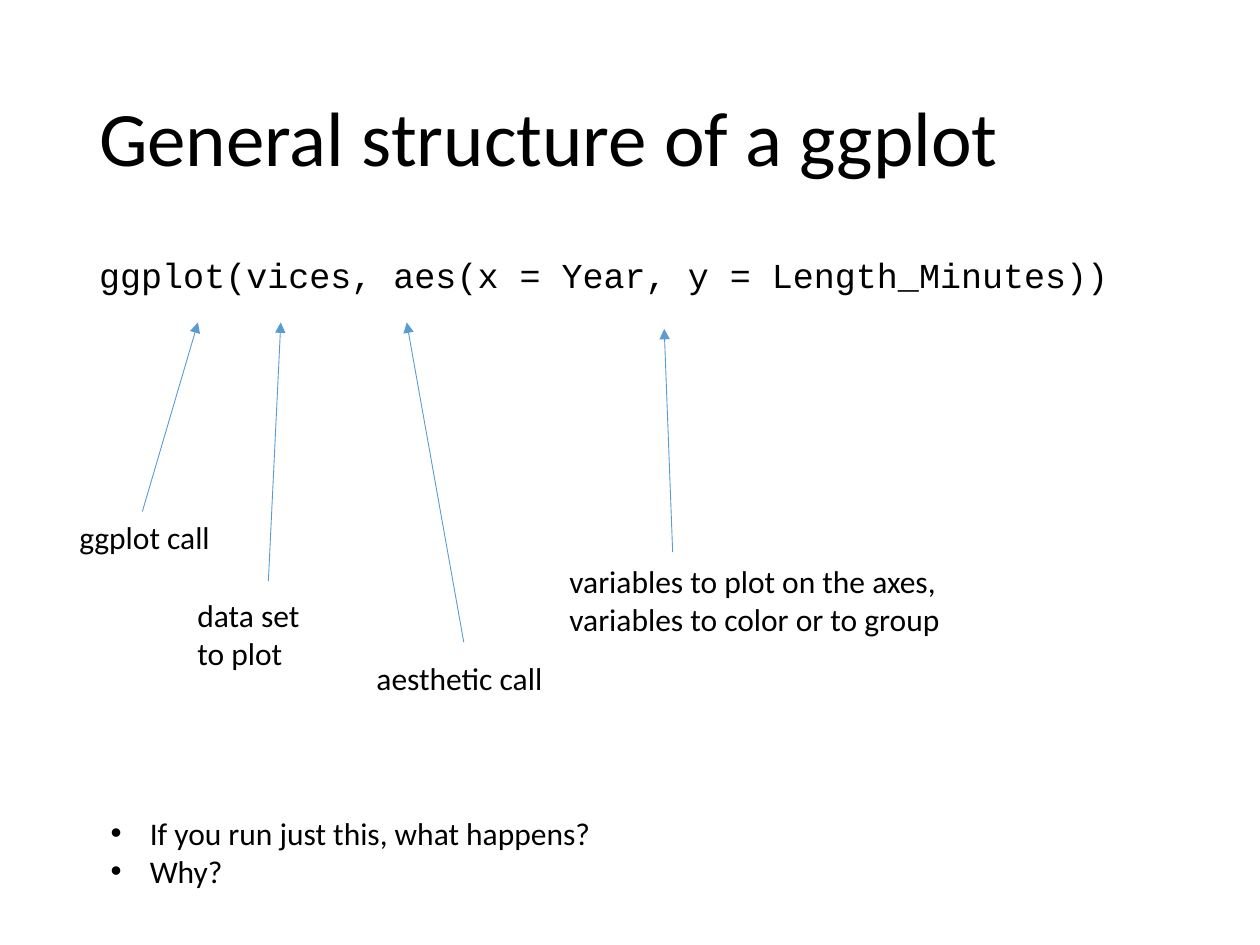
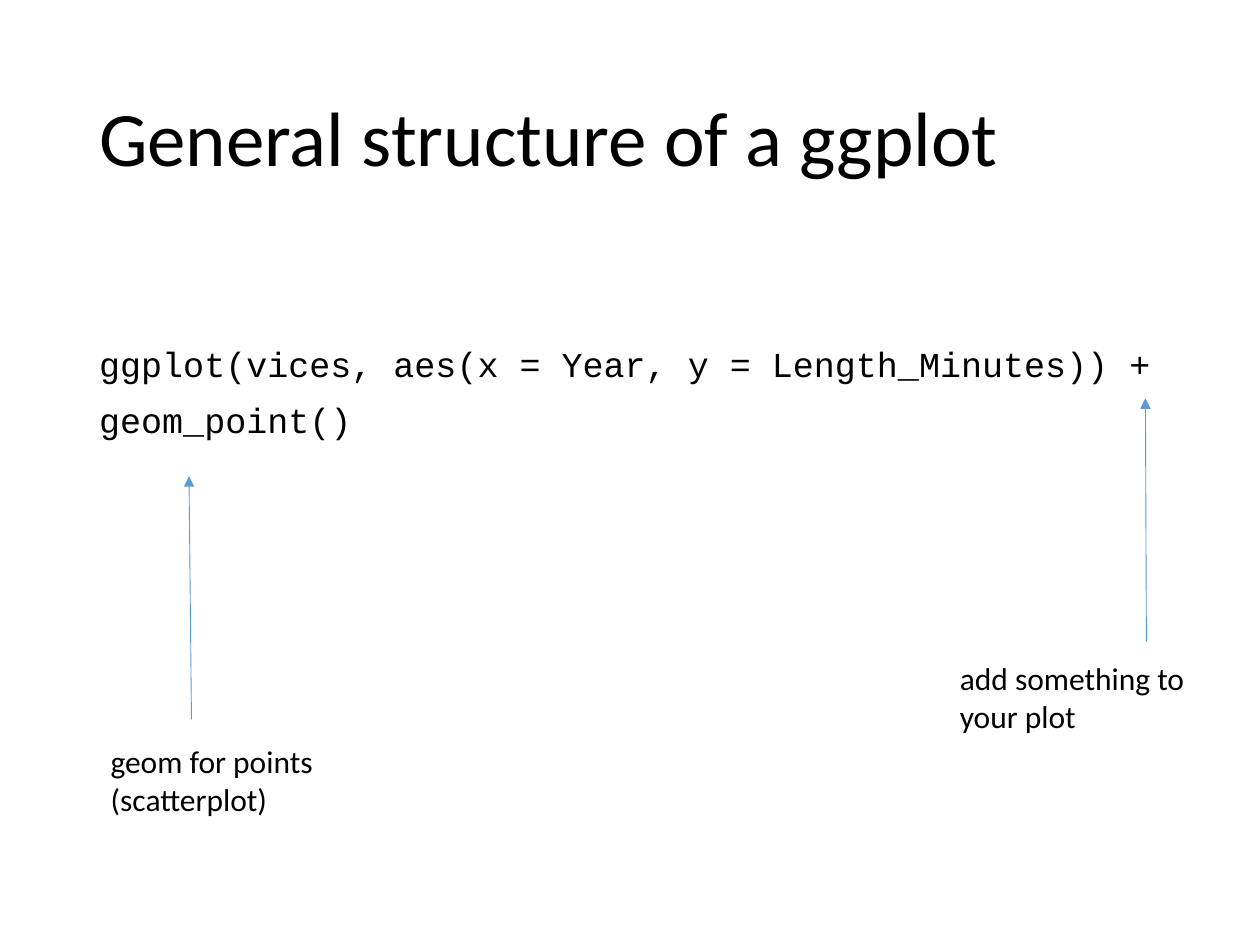
from collections import namedtuple

from lxml.etree import SubElement
from pptx import Presentation
from pptx.dml.color import RGBColor
from pptx.enum.shapes import MSO_CONNECTOR as Connector
from pptx.enum.text import MSO_ANCHOR as Anchor
from pptx.oxml.ns import qn
from pptx.util import Cm, Pt

BLACK, BLUE = "000000", "5B9BD5"
TEXT_FONT, CODE_FONT = "Calibri", "Courier New"
TITLE = "General structure of a ggplot"

Box = namedtuple("Box", "left top width height")
# Arrow ends and label box are relative to the code box
Callout = namedtuple("Callout", "text start tip label")

TITLE_BOX = Box(1.75, 1.02, 21.9, 3.68)
QUESTION_BOX = Box(1.98, 16.28, 17.2, 1.8)


def code_box(top):
    return Box(1.75, top, 21.9, 12.09)


def color(hex_code):
    return RGBColor.from_string(hex_code)


def add_bullet(para):
    props = para._p.get_or_add_pPr()
    props.set("marL", str(Cm(0.79)))
    props.set("indent", str(-Cm(0.79)))
    SubElement(props, qn("a:buFont"), typeface="Arial")
    SubElement(props, qn("a:buChar"), char="•")


def add_text(page, box, lines, size=18, font=TEXT_FONT, spacing=1.0,
             before=0, anchor=Anchor.TOP, bulleted=False):
    frame = page.shapes.add_textbox(*map(Cm, box)).text_frame
    frame.word_wrap = True
    frame.vertical_anchor = anchor
    for index, line in enumerate(lines):
        para = frame.add_paragraph() if index else frame.paragraphs[0]
        para.text = line
        para.line_spacing = spacing
        if index:
            para.space_before = Pt(before)
        if bulleted:
            add_bullet(para)
        para.font.size = Pt(size)
        para.font.name = font
        para.font.color.rgb = color(BLACK)


def add_arrow(page, start, tip):
    arrow = page.shapes.add_connector(Connector.STRAIGHT, *map(Cm, start + tip))
    arrow.line.color.rgb = color(BLUE)
    arrow.line.width = Pt(0.5)
    SubElement(arrow.line._get_or_add_ln(), qn("a:tailEnd"), type="triangle")
    SubElement(arrow._element.spPr, qn("a:effectLst"))


def add_callout(page, box, callout):
    def shift(point):
        return box.left + point[0], box.top + point[1]

    add_arrow(page, shift(callout.start), shift(callout.tip))
    label = Box(*shift(callout.label), *callout.label[2:])
    add_text(page, label, [callout.text])


def add_code_page(deck, box, code_lines, callouts):
    page = deck.slides.add_slide(deck.slide_layouts[6])
    add_text(page, TITLE_BOX, [TITLE], size=44, spacing=0.9, anchor=Anchor.MIDDLE)
    add_text(page, box, code_lines, size=20, font=CODE_FONT, spacing=0.9, before=10)
    for callout in callouts:
        add_callout(page, box, callout)
    return page


def main():
    deck = Presentation()
    deck.slide_width, deck.slide_height = Cm(25.4), Cm(19.05)

    # The parts of the base call
    page = add_code_page(
        deck, code_box(5.08),
        ["ggplot(vices, aes(x = Year, y = Length_Minutes))"],
        [Callout("ggplot call", (1.12, 5.23), (2.24, 1.42), (-0.4, 5.23, 3.2, 1.02)),
         Callout("data set to plot", (3.66, 6.63), (3.91, 1.42), (1.98, 6.81, 3.2, 1.8)),
         Callout("aesthetic call", (7.6, 7.87), (6.45, 1.42), (5.59, 8.08, 4.11, 1.02)),
         Callout("variables to plot on the axes, variables to color or to group",
                 (11.81, 6.05), (11.64, 1.55), (9.48, 6.12, 10.08, 1.8))])
    add_text(page, QUESTION_BOX,
             ["If you run just this, what happens?", "Why?"], bulleted=True)

    # Adding a geom
    add_code_page(
        deck, code_box(6.88),
        ["ggplot(vices, aes(x = Year, y = Length_Minutes)) +", "geom_point()"],
        [Callout("add something to your plot",
                 (21.36, 6.05), (21.34, 1.15), (17.35, 6.28, 6.3, 1.8)),
         Callout("geom for points (scatterplot)",
                 (2.11, 7.62), (2.06, 2.72), (0.23, 7.95, 6.91, 1.8))])

    deck.save("out.pptx")


if __name__ == "__main__":
    main()
